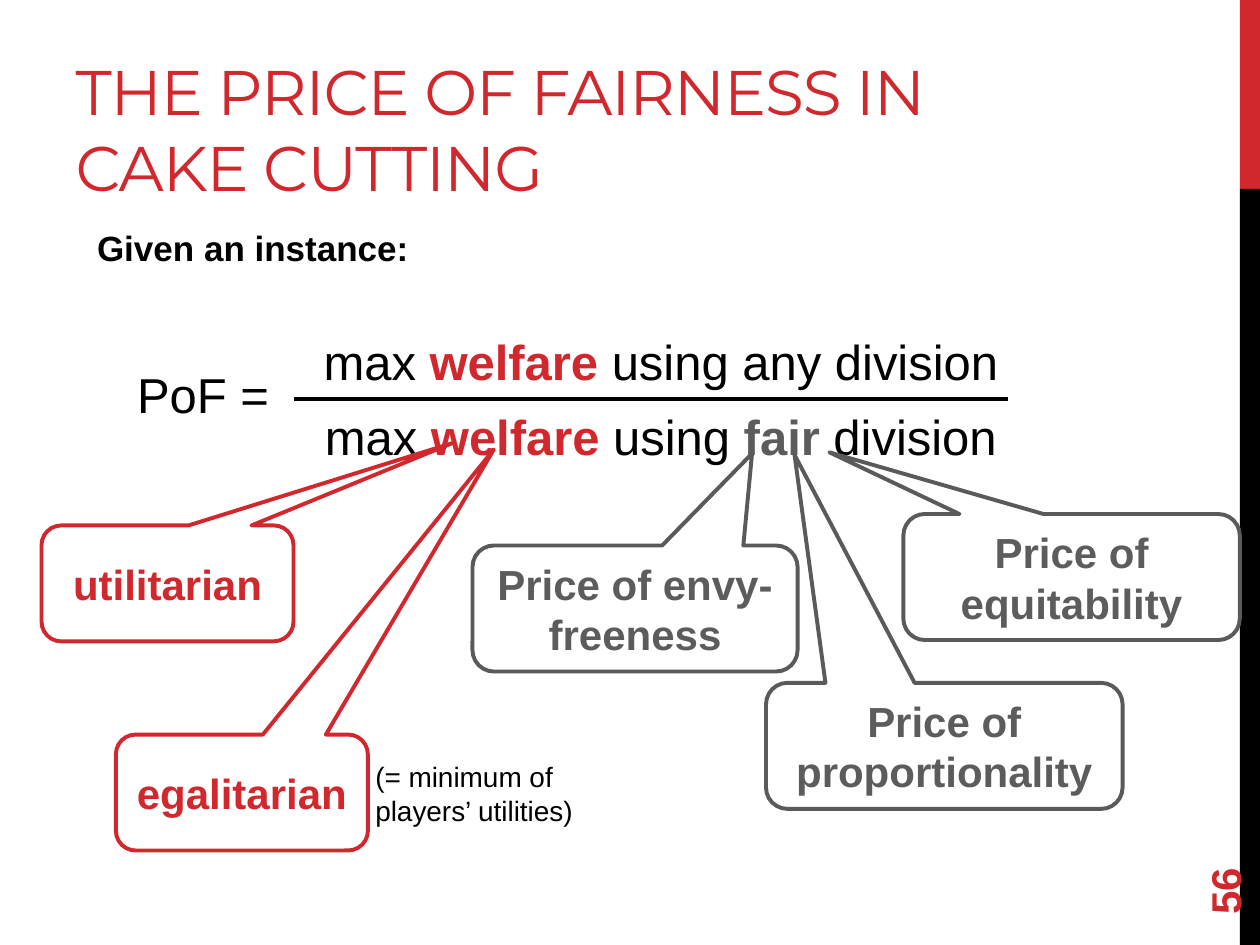
import pptx
import pptx.util
import pptx.dml.color
import pptx.enum.shapes
import pptx.enum.text
import pptx.oxml.ns
from lxml import etree

Inches = pptx.util.Inches
Pt = pptx.util.Pt
RGBColor = pptx.dml.color.RGBColor
Shape = pptx.enum.shapes.MSO_SHAPE
Align = pptx.enum.text.PP_ALIGN
Anchor = pptx.enum.text.MSO_ANCHOR
AutoSize = pptx.enum.text.MSO_AUTO_SIZE
qn = pptx.oxml.ns.qn

RED = RGBColor(0xD1, 0x28, 0x2E)
BLACK = RGBColor(0, 0, 0)
GRAY = RGBColor(0x5C, 0x5C, 0x5C)
OUTLINE_GRAY = RGBColor(0x5A, 0x5A, 0x5A)

TITLE = {"name": "Montserrat", "size": Pt(36), "bold": False}
LEAD = {"name": "Arial", "size": Pt(20), "bold": True}
FORMULA = {"name": "Arial", "size": Pt(28), "bold": False}
TERM = {**FORMULA, "bold": True}
LABEL = {"name": "Arial", "size": Pt(24), "bold": True}
NOTE = {"name": "Arial", "size": Pt(16), "bold": False}


class SlideBuilder:
    def __init__(self, slide):
        self.slide = slide

    def place(self, shape, box):
        for side, length in zip(("left", "top", "width", "height"), box):
            setattr(shape, side, Inches(length))

    def fill_text(self, shape, runs, align=Align.LEFT, anchor=Anchor.TOP, fit=AutoSize.NONE):
        frame = shape.text_frame
        frame.word_wrap = True
        frame.auto_size = fit
        frame.vertical_anchor = anchor
        paragraph = frame.paragraphs[0]
        paragraph.alignment = align
        for text, style, color in runs:
            run = paragraph.add_run()
            run.text = text
            for key, value in style.items():
                setattr(run.font, key, value)
            run.font.color.rgb = color
        return paragraph

    def title(self, box, text):
        heading = self.slide.shapes.title
        self.place(heading, box)
        paragraph = self.fill_text(heading, [(text, TITLE, RED)], anchor=Anchor.BOTTOM)
        paragraph.runs[0]._r.get_or_add_rPr().set("spc", "-60")

    def body(self, box, text):
        lead = self.slide.placeholders[1]
        self.place(lead, box)
        properties = lead.text_frame.paragraphs[0]._p.get_or_add_pPr()
        properties.set("marL", "0")
        properties.set("indent", "0")
        etree.SubElement(properties, qn("a:buNone"))
        paragraph = self.fill_text(lead, [(text, LEAD, BLACK)])
        paragraph.space_before = Pt(0)
        paragraph.space_after = Pt(6)

    def text(self, box, runs, rotation=0, **layout):
        label = self.slide.shapes.add_textbox(*map(Inches, box))
        label.rotation = rotation
        self.fill_text(label, runs, **layout)

    def bar(self, box, color):
        band = self.slide.shapes.add_shape(Shape.RECTANGLE, *map(Inches, box))
        band.shadow.inherit = False
        band.fill.solid()
        band.fill.fore_color.rgb = color
        band.line.fill.background()

    def line(self, start, end):
        rule = self.slide.shapes.add_connector(
            pptx.enum.shapes.MSO_CONNECTOR.STRAIGHT, *map(Inches, start + end))
        rule.line.color.rgb = BLACK
        rule.line.width = Pt(2.25)
        etree.SubElement(rule._element.spPr, qn("a:effectLst"))

    def callout(self, box, tip, text, color, outline):
        bubble = self.slide.shapes.add_shape(
            Shape.ROUNDED_RECTANGULAR_CALLOUT, *map(Inches, box))
        bubble.shadow.inherit = False
        for index, value in enumerate((*tip, 0.17)):
            bubble.adjustments[index] = value
        bubble.fill.background()
        bubble.line.color.rgb = outline
        bubble.line.width = Pt(2.25)
        self.fill_text(bubble, [(text, LABEL, color)], Align.CENTER, Anchor.MIDDLE)


def main():
    deck = pptx.Presentation()
    deck.slide_width, deck.slide_height = Inches(10), Inches(7.5)
    page = SlideBuilder(deck.slides.add_slide(deck.slide_layouts[1]))

    page.bar((9.84, 0, 0.16, 1.5), RED)
    page.bar((9.84, 1.5, 0.16, 6), BLACK)
    page.title((0.5, 0.17, 7.67, 1.5), "THE PRICE OF FAIRNESS IN CAKE CUTTING")
    page.body((0.67, 1.75, 8.92, 0.58), "Given an instance:")

    formula = {"align": Align.CENTER, "fit": AutoSize.SHAPE_TO_FIT_TEXT}
    welfare = [("max ", FORMULA, BLACK), ("welfare", TERM, RED)]
    numerator = welfare + [(" using any division", FORMULA, BLACK)]
    denominator = welfare + [(" using ", FORMULA, BLACK), ("fair ", TERM, GRAY),
                             ("division", FORMULA, BLACK)]
    page.text((2.33, 2.58, 5.83, 0.57), numerator, **formula)
    page.text((2.33, 3.18, 5.83, 0.57), denominator, **formula)
    page.line((2.33, 3.17), (8, 3.17))
    page.text((0.75, 2.84, 1.83, 0.57), [("PoF = ", FORMULA, BLACK)], **formula)

    fairness_prices = [
        ((7.17, 4.08, 2.67, 1), (-0.72, -0.99), "Price of equitability"),
        ((6.08, 5.42, 2.83, 1), (-0.42, -2.31), "Price of proportionality"),
        ((3.75, 4.33, 2.58, 1), (0.36, -1.23), "Price of envy-freeness"),
    ]
    for box, tip, text in fairness_prices:
        page.callout(box, tip, text, GRAY, OUTLINE_GRAY)
    welfare_kinds = [
        ((0.33, 4.17, 2, 0.92), (1.13, -1.21), "utilitarian"),
        ((0.92, 5.83, 2, 0.92), (1, -2.96), "egalitarian"),
    ]
    for box, tip, text in welfare_kinds:
        page.callout(box, tip, text, RED, RED)

    page.text((9, 6.44, 1.44, 0.4), [("56", LABEL, RED)], rotation=270, anchor=Anchor.MIDDLE)
    page.text((2.88, 5.98, 2.29, 0.64), [("(= minimum of players’ utilities)", NOTE, BLACK)],
              fit=AutoSize.SHAPE_TO_FIT_TEXT)
    deck.save("out.pptx")


if __name__ == "__main__":
    main()
